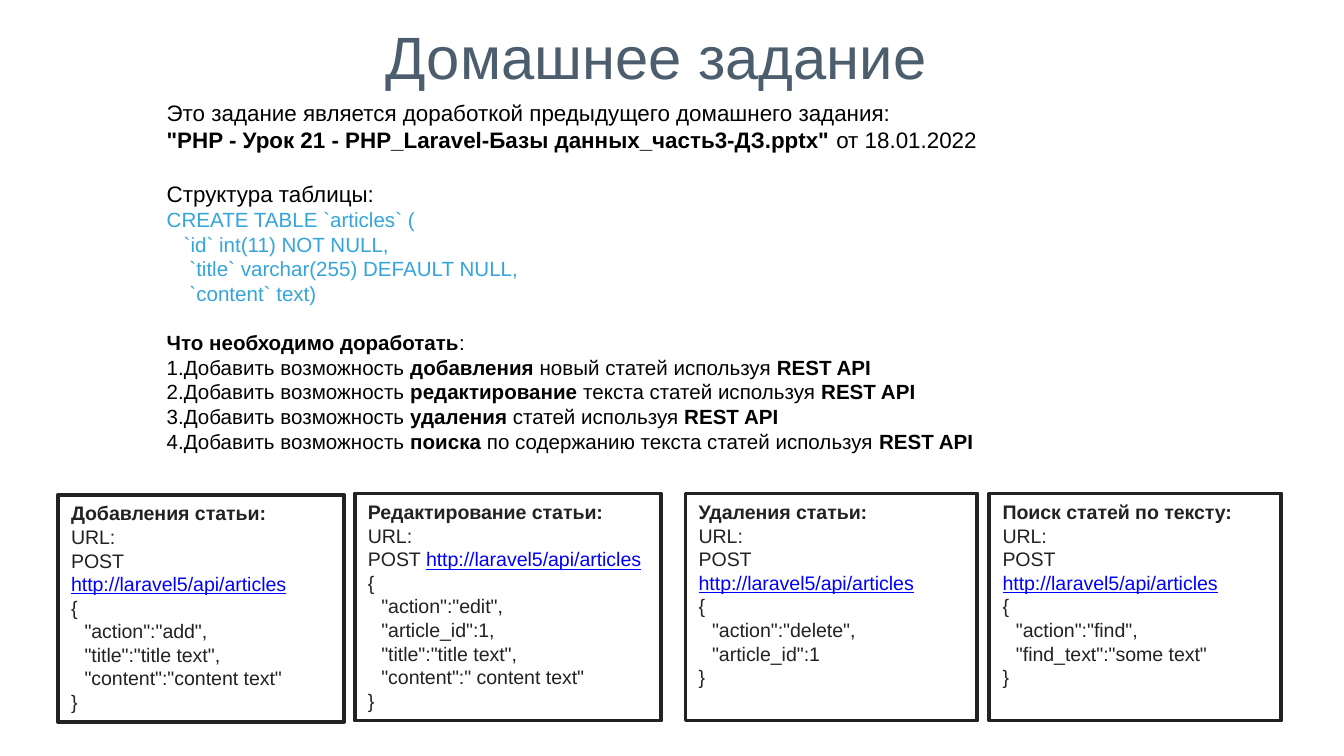
import pptx
import pptx.util
import pptx.dml.color
import pptx.enum.shapes
import pptx.enum.text
import pptx.oxml.ns
import lxml.etree

Pt = pptx.util.Pt
RGBColor = pptx.dml.color.RGBColor
Anchor = pptx.enum.text.MSO_ANCHOR
Align = pptx.enum.text.PP_ALIGN

SLATE = RGBColor(0x4C, 0x5D, 0x6E)
BLACK = RGBColor(0x00, 0x00, 0x00)
SKY = RGBColor(0x34, 0xA5, 0xDA)
CHARCOAL = RGBColor(0x22, 0x22, 0x22)
LINK_BLUE = RGBColor(0x00, 0x00, 0xFF)

LINE_RATIO = 1.2
URL = "http://laravel5/api/articles"

INTRO = [
    "Это задание является доработкой предыдущего домашнего задания:",
    '**"PHP - Урок 21 - PHP_Laravel-Базы данных_часть3-ДЗ.pptx" **от 18.01.2022',
]
TABLE_CODE = [
    "CREATE TABLE `articles` (",
    "   `id` int(11) NOT NULL,",
    "    `title` varchar(255) DEFAULT NULL,",
    "    `content` text)",
]
TASKS = [
    ("добавления", "новый статей"),
    ("редактирование", "текста статей"),
    ("удаления", "статей"),
    ("поиска", "по содержанию текста статей"),
]
CARDS = [
    ((31, 265, 153.4, 121.7), "Добавления статьи:",
     ['"action":"add",', '"title":"title text",', '"content":"content text"']),
    ((190, 264.4, 164.2, 121.7), "Редактирование статьи:",
     ['"action":"edit",', '"article_id":1,', '"title":"title text",',
      '"content":" content text"']),
    ((367.2, 264.4, 156.4, 121.7), "Удаления статьи:",
     ['"action":"delete",', '"article_id":1']),
    ((530, 264.4, 156.4, 121.7), "Поиск статей по тексту:",
     ['"action":"find",', '"find_text":"some text"']),
]


def set_values(target, values):
    for name, value in values.items():
        setattr(target, name, value)


def add_run(paragraph, text, size, color, **values):
    run = paragraph.add_run()
    run.text = text
    set_values(run.font, {"name": "Arial", "size": Pt(size), **values})
    run.font.color.rgb = color


def add_marked_text(paragraph, text, size, color):
    for index, part in enumerate(text.split("**")):
        if part:
            add_run(paragraph, part, size, color, bold=index % 2 == 1)


def add_paragraph(frame, size, margin=0, indent=0, gap=0, numbered=False):
    first = frame.paragraphs[0]
    paragraph = frame.add_paragraph() if first.runs else first
    properties = paragraph._p.get_or_add_pPr()
    properties.set("marL", str(Pt(margin)))
    properties.set("indent", str(Pt(indent)))
    if numbered:
        bullet = lxml.etree.SubElement(properties, pptx.oxml.ns.qn("a:buAutoNum"))
        bullet.set("type", "arabicPeriod")
    set_values(paragraph, {
        "alignment": Align.LEFT,
        "line_spacing": Pt(size * LINE_RATIO),
        "space_before": Pt(gap),
    })
    return paragraph


def add_title(slide, box):
    frame = slide.shapes.add_textbox(*map(Pt, box)).text_frame
    set_values(frame, {"word_wrap": True, "vertical_anchor": Anchor.MIDDLE,
                       "margin_top": Pt(7.2), "margin_bottom": Pt(7.2)})
    paragraph = frame.paragraphs[0]
    paragraph.alignment = Align.CENTER
    add_run(paragraph, "Домашнее задание", 32, SLATE)


def add_assignment(slide, box):
    frame = slide.shapes.add_textbox(*map(Pt, box)).text_frame
    frame.word_wrap = True
    for text in INTRO:
        add_marked_text(add_paragraph(frame, 12, indent=28.2), text, 12, BLACK)
    heading = add_paragraph(frame, 12, indent=28.2, gap=12 * LINE_RATIO)
    add_run(heading, "Структура таблицы:", 12, BLACK)
    for text in TABLE_CODE:
        add_run(add_paragraph(frame, 11, indent=28.2), text, 11, SKY)
    heading = add_paragraph(frame, 11, 18, 10.2, gap=11 * LINE_RATIO)
    add_marked_text(heading, "**Что необходимо доработать**:", 11, BLACK)
    for action, subject in TASKS:
        paragraph = add_paragraph(frame, 11, 18, 10.2, numbered=True)
        text = f"Добавить возможность **{action}** {subject} используя **REST API**"
        add_marked_text(paragraph, text, 11, BLACK)


def add_request_card(slide, box, heading, fields):
    card = slide.shapes.add_shape(
        pptx.enum.shapes.MSO_SHAPE.RECTANGLE, *map(Pt, box))
    card.shadow.inherit = False
    card.fill.background()
    card.line.color.rgb = CHARCOAL
    card.line.width = Pt(2)
    frame = card.text_frame
    set_values(frame, {"word_wrap": True, "vertical_anchor": Anchor.TOP})
    size = 10.5
    add_run(add_paragraph(frame, size), heading, size, CHARCOAL, bold=True)
    add_run(add_paragraph(frame, size), "URL:", size, CHARCOAL)
    request = add_paragraph(frame, size)
    add_run(request, "POST ", size, CHARCOAL)
    add_run(request, URL, size, LINK_BLUE, underline=True)
    add_run(add_paragraph(frame, size), "{", size, CHARCOAL)
    for field in fields:
        add_run(add_paragraph(frame, size, indent=7.2), field, size, CHARCOAL)
    add_run(add_paragraph(frame, size), "}", size, CHARCOAL)


def main():
    presentation = pptx.Presentation()
    set_values(presentation, {"slide_width": Pt(720), "slide_height": Pt(405)})
    slide = presentation.slides.add_slide(presentation.slide_layouts[6])
    add_title(slide, (82, 4.3, 539.3, 51))
    add_assignment(slide, (54, 49.7, 617.8, 198.7))
    for box, heading, fields in CARDS:
        add_request_card(slide, box, heading, fields)
    presentation.save("out.pptx")


if __name__ == "__main__":
    main()
